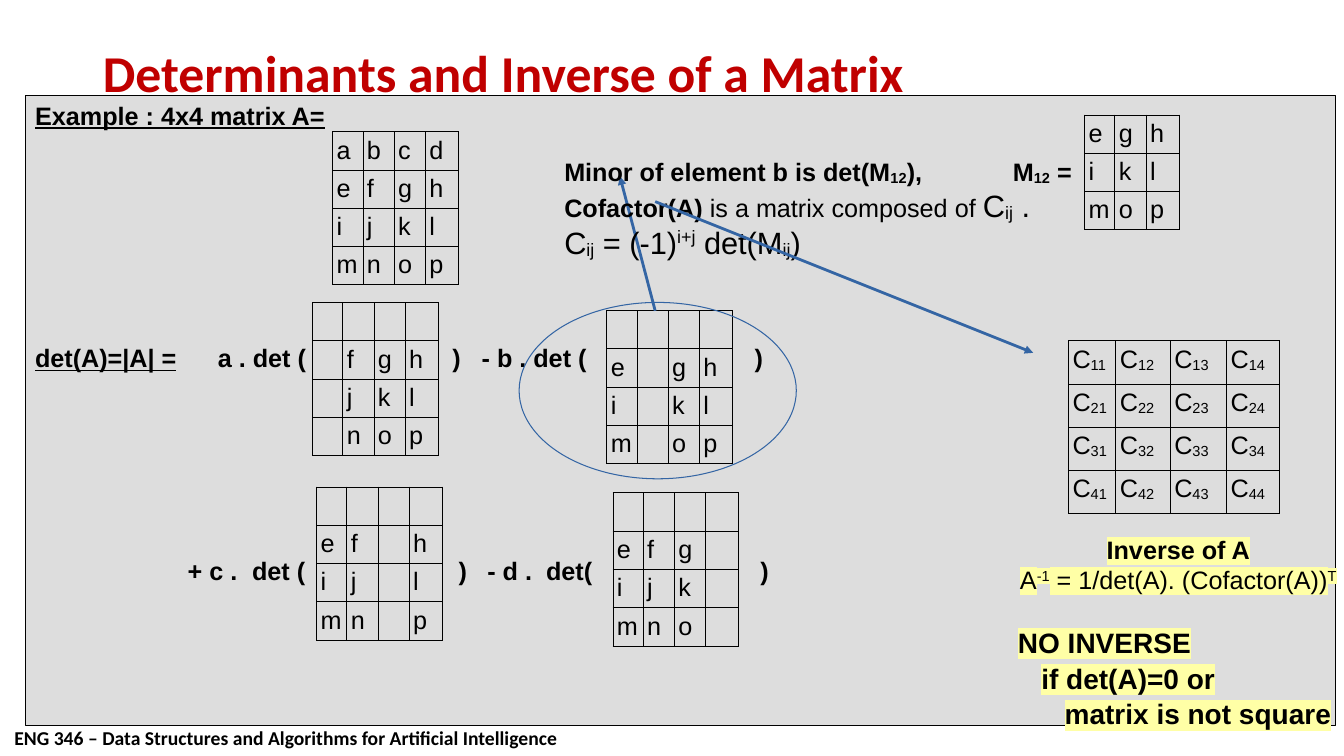
from dataclasses import dataclass

from lxml.etree import SubElement
from pptx import Presentation
from pptx.dml.color import RGBColor
from pptx.enum.shapes import MSO_CONNECTOR as Link, MSO_SHAPE as Shape
from pptx.enum.text import MSO_ANCHOR as Anchor, MSO_AUTO_SIZE as AutoSize, PP_ALIGN as Align
from pptx.oxml.ns import qn
from pptx.util import Pt


@dataclass(frozen=True)
class Theme:
    ink: str = "000000"
    heading: str = "C00000"
    panel: str = "DDDDDD"
    accent: str = "3465A4"
    marker: str = "FFFFA6"
    body_font: str = "Arial"
    title_font: str = "Calibri"
    title_size: float = 36.9
    body_size: float = 18
    formula_size: float = 22
    notice_size: float = 20
    footer_size: float = 14


SUB, SUPER = {"base": -8}, {"base": 33}


class SlideBuilder:
    def __init__(self, page, theme):
        self.page, self.theme = page, theme

    def style_span(self, span, size=None, font=None, color=None, bold=False,
                   underline=False, base=0, marker=None):
        theme = self.theme
        span.font.size = Pt(size or theme.body_size)
        span.font.bold = bold
        span.font.underline = underline
        span.font.color.rgb = RGBColor.from_string(color or theme.ink)
        span.font.name = font or theme.body_font
        properties = span.font._element
        if base:
            properties.set("baseline", str(base * 1000))
        if marker:
            highlight = SubElement(properties, qn("a:highlight"))
            SubElement(highlight, qn("a:srgbClr"), val=marker)
            properties.find(qn("a:latin")).addprevious(highlight)

    def fill_para(self, para, spans, align=Align.LEFT, before=0, tabs=(), **style):
        """Write (text, changes) spans that share one style."""
        if tabs:
            stops = SubElement(para._p.get_or_add_pPr(), qn("a:tabLst"))
            for stop in tabs:
                SubElement(stops, qn("a:tab"), pos=str(Pt(stop)), algn="l")
        para.alignment = align
        para.space_before = Pt(before)
        for text, changes in spans:
            span = para.add_run()
            span.text = text
            self.style_span(span, **{**style, **changes})

    def fill_frame(self, frame, paras):
        for index, (spans, options) in enumerate(paras):
            para = frame.add_paragraph() if index else frame.paragraphs[0]
            self.fill_para(para, spans, **options)

    def title(self, text, left, top, width, height):
        box = self.page.shapes.title
        box.left, box.top, box.width, box.height = map(Pt, (left, top, width, height))
        frame = box.text_frame
        frame.auto_size = AutoSize.NONE
        frame.vertical_anchor = Anchor.MIDDLE
        frame.text = text
        para = frame.paragraphs[0]
        para.alignment, para.line_spacing = Align.LEFT, 0.9
        self.style_span(para.runs[0], size=self.theme.title_size, bold=True,
                        font=self.theme.title_font, color=self.theme.heading)

    def text(self, paras, left, top, width, height, wrap=True, right_inset=7.2):
        box = self.page.shapes.add_textbox(*map(Pt, (left, top, width, height)))
        box.text_frame.word_wrap = wrap
        box.text_frame.margin_right = Pt(right_inset)
        self.fill_frame(box.text_frame, paras)

    def shape(self, kind, left, top, width, height, line, fill=None, paras=()):
        box = self.page.shapes.add_shape(kind, *map(Pt, (left, top, width, height)))
        box.shadow.inherit = False
        if fill:
            box.fill.solid()
            box.fill.fore_color.rgb = RGBColor.from_string(fill)
        else:
            box.fill.background()
        box.line.color.rgb = RGBColor.from_string(line)
        box.line.width = Pt(0)
        box.text_frame.vertical_anchor = Anchor.TOP
        self.fill_frame(box.text_frame, paras)

    def arrow(self, start, end):
        link = self.page.shapes.add_connector(Link.STRAIGHT, *map(Pt, start + end))
        link.line.color.rgb = RGBColor.from_string(self.theme.accent)
        link.line.width = Pt(0)
        SubElement(link.line._get_or_add_ln(), qn("a:tailEnd"), type="triangle")
        SubElement(link._element.spPr, qn("a:effectLst"))

    def border(self, cell):
        properties = cell._tc.get_or_add_tcPr()
        for index, side in enumerate(("lnL", "lnR", "lnT", "lnB")):
            line = SubElement(properties, qn(f"a:{side}"), w=str(Pt(0.57)))
            fill = SubElement(line, qn("a:solidFill"))
            SubElement(fill, qn("a:srgbClr"), val=self.theme.ink)
            properties.insert(index, line)

    def matrix(self, rows, left, top, widths, row_height=27.36):
        """Each cell is a letter, optionally followed by its subscript."""
        table = self.page.shapes.add_table(
            len(rows), len(widths), Pt(left), Pt(top),
            Pt(sum(widths)), Pt(row_height * len(rows))).table
        table.first_row = table.horz_banding = False
        for column, width in zip(table.columns, widths):
            column.width = Pt(width)
        for row, entries in zip(table.rows, rows):
            row.height = Pt(row_height)
            for cell, entry in zip(row.cells, entries):
                cell.margin_left = cell.margin_right = Pt(2.9)
                cell.margin_top, cell.margin_bottom = Pt(3.3), 0
                cell.fill.background()
                self.border(cell)
                spans = [(entry[:1], {}), (entry[1:], SUB)]
                self.fill_para(cell.text_frame.paragraphs[0], [span for span in spans if span[0]])


def without(rows, dropped_column):
    """Blank the first row and one column."""
    return [["" if r == 0 or c == dropped_column else letter for c, letter in enumerate(row)]
            for r, row in enumerate(rows)]


def main():
    theme = Theme()
    deck = Presentation()
    deck.slide_width, deck.slide_height = Pt(960), Pt(540)
    slide = SlideBuilder(deck.slides.add_slide(deck.slide_layouts[5]), theme)

    # Title and footer
    slide.title("Determinants and Inverse of a Matrix", 66.24, 28.8, 725.76, 50.4)
    footer = "ENG 346 – Data Structures and Algorithms for Artificial Intelligence"
    slide.text([([(footer, {})], dict(size=theme.footer_size, font=theme.title_font, bold=True))],
               3.2, 515, 405, 24, wrap=False)

    # Panel with the determinant expansion
    under = {"underline": True}
    slide.shape(Shape.RECTANGLE, 18, 68, 936, 450, theme.ink, theme.panel, [
        ([("Example : 4x4 matrix A=", under)], dict(bold=True)),
        ([("det(A)=|A| =", under), ("\ta . det (\t)\t- b . det (\t)", {})],
         dict(bold=True, before=151.5, tabs=(130.5, 298, 319, 514))),
        ([("\t+ c .\tdet (\t)\t- d .\tdet(\t)", {})],
         dict(bold=True, before=130.5, tabs=(109, 155, 302.5, 323, 365, 518))),
    ])

    # Matrix A and its four reduced matrices
    letters = ["abcd", "efgh", "ijkl", "mnop"]
    widths = (21.6, 22.3, 22.3, 23.8)
    slide.matrix(letters, 237.6, 94, widths)
    corners = [(223.2, 216), (433.4, 221.8), (226.1, 347.8), (437.8, 352)]
    for column, (left, top) in enumerate(corners):
        slide.matrix(without(letters, column), left, top, widths)

    # Minor and cofactor definitions
    slide.arrow((468, 222), (442.8, 126))
    big = {"size": theme.formula_size}
    big_sub, big_super = {**big, **SUB}, {**big, **SUPER}
    slide.text([
        ([("Minor of element b is det(M", {}), ("12", SUB), ("),\tM", {}), ("12", SUB), (" =", {})],
         dict(bold=True, tabs=(320.4,))),
        ([("Cofactor(A)", {"bold": True}), (" is a matrix composed of ", {}),
          ("C", big), ("ij", big_sub), (" .", big)], {}),
        ([("C", big), ("ij", big_sub), (" = (-1)", big), ("i+j", big_super),
          (" det(M", big), ("ij", big_sub), (")", big)], {}),
    ], 396, 108, 460.8, 96.5)
    slide.shape(Shape.OVAL, 370.8, 216, 198, 126, theme.accent)
    slide.matrix(["egh", "ikl", "mop"], 774.7, 82.1, (21.6, 22.3, 23.8))

    # Cofactor matrix
    slide.arrow((468, 144), (738, 252))
    cofactors = [[f"C{r}{c}" for c in range(1, 5)] for r in range(1, 5)]
    slide.matrix(cofactors, 763.2, 243.4, (33.8, 38.9, 40.3, 37.4), 30.8)

    # Inverse
    marked = dict(marker=theme.marker)
    notice = dict(size=theme.notice_size, bold=True, **marked)
    slide.text([
        ([("Inverse of A", {})], dict(align=Align.CENTER, bold=True, **marked)),
        ([("A", {}), ("-1", SUPER), (" = 1/det(A). (Cofactor(A))", {}), ("T", SUPER)],
         dict(align=Align.CENTER, **marked)),
        ([("NO INVERSE", {})], dict(before=22, **notice)),
        ([("\tif det(A)=0 or", {})], dict(before=1.5, tabs=(16.7,), **notice)),
        ([("\tmatrix is not square", {})], dict(before=1.5, tabs=(33.4,), **notice)),
    ], 720, 378, 241.2, 134, right_inset=5)

    deck.save("out.pptx")


if __name__ == "__main__":
    main()
